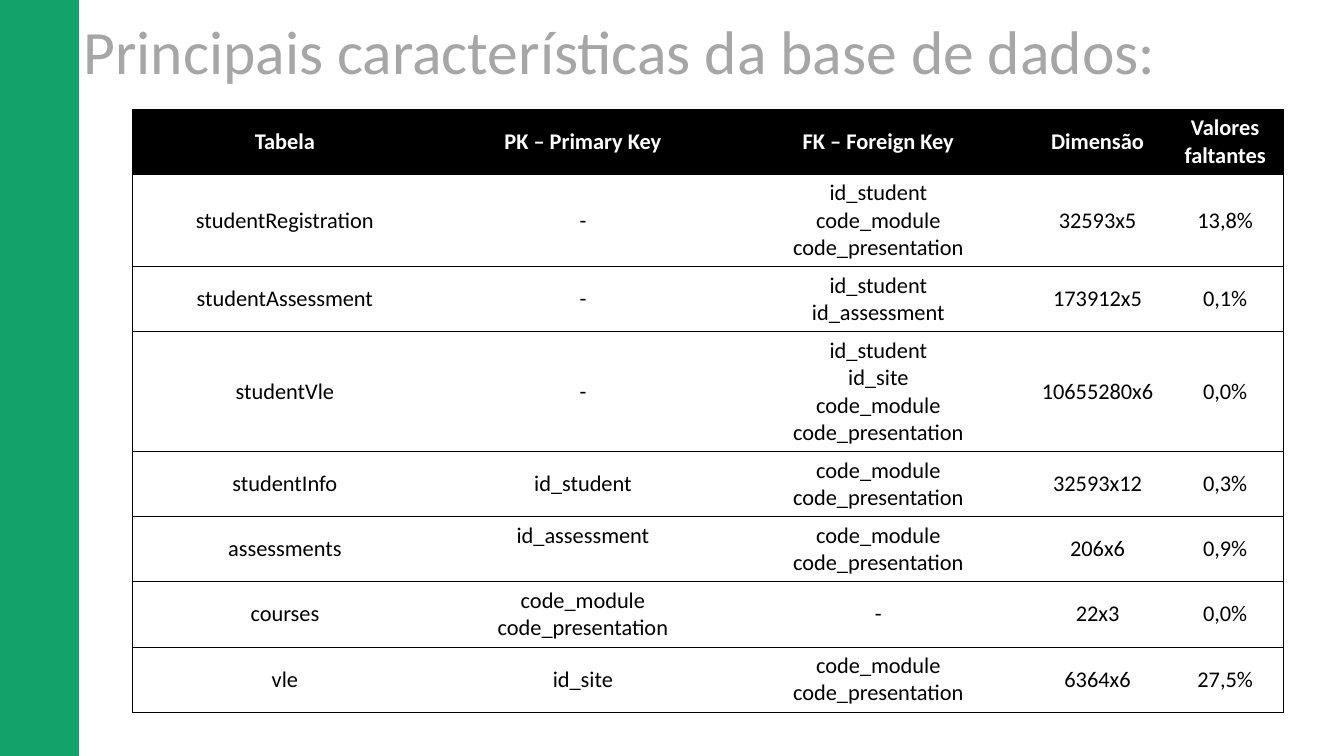
import pptx
import pptx.util
import pptx.dml.color
import pptx.enum.shapes
import pptx.enum.text
import pptx.oxml
import pptx.oxml.ns

Cm, Pt = pptx.util.Cm, pptx.util.Pt
MIDDLE = pptx.enum.text.MSO_ANCHOR.MIDDLE
TOP = pptx.enum.text.MSO_ANCHOR.TOP
CENTER = pptx.enum.text.PP_ALIGN.CENTER
LEFT = pptx.enum.text.PP_ALIGN.LEFT


def color(hex_code):
    return pptx.dml.color.RGBColor.from_string(hex_code)


class DatabaseSlide:
    font = "Calibri"
    green, gray, black, white = "11A36A", "A6A6A6", "000000", "FFFFFF"
    border = 0.5

    def __init__(self, deck):
        self.slide = deck.slides.add_slide(deck.slide_layouts[5])

    def add_lines(self, frame, lines, size, hex_code, bold=False, align=CENTER):
        for index, line in enumerate(lines):
            paragraph = frame.paragraphs[0] if index == 0 else frame.add_paragraph()
            paragraph.alignment = align
            run = paragraph.add_run()
            run.text = line
            run.font.name, run.font.size, run.font.bold = self.font, Pt(size), bold
            run.font.color.rgb = color(hex_code)

    def title(self, text, left, top, width, height):
        heading = self.slide.shapes.title
        heading.left, heading.top = Cm(left), Cm(top)
        heading.width, heading.height = Cm(width), Cm(height)
        frame = heading.text_frame
        frame.auto_size = pptx.enum.text.MSO_AUTO_SIZE.NONE
        frame.word_wrap = True
        frame.vertical_anchor = MIDDLE
        self.add_lines(frame, [text], 44, self.gray, align=LEFT)
        frame.paragraphs[0].line_spacing = 0.9

    def bar(self, left, top, width, height):
        band = self.slide.shapes.add_shape(
            pptx.enum.shapes.MSO_SHAPE.RECTANGLE, Cm(left), Cm(top), Cm(width), Cm(height))
        band.shadow.inherit = False
        band.fill.solid()
        band.fill.fore_color.rgb = band.line.color.rgb = color(self.green)
        band.line.width = Pt(1)

    def cell_borders(self, cell, visible):
        """Draw the sides listed in visible and clear the others."""
        properties = cell._tc.get_or_add_tcPr()
        for index, side in enumerate("LRTB"):
            paint = (f'<a:solidFill><a:srgbClr val="{self.black}"/></a:solidFill>'
                     if side in visible else "<a:noFill/>")
            properties.insert(index, pptx.oxml.parse_xml(
                f'<a:ln{side} {pptx.oxml.ns.nsdecls("a")} w="{Pt(self.border)}">'
                f'{paint}</a:ln{side}>'))

    def table(self, rows, left, top, widths, heights):
        grid = self.slide.shapes.add_table(
            len(rows), len(widths), Cm(left), Cm(top),
            Cm(sum(widths)), Cm(sum(heights))).table
        grid.horz_banding = False
        for column, width in zip(grid.columns, widths):
            column.width = Cm(width)
        for r, (values, height) in enumerate(zip(rows, heights)):
            grid.rows[r].height = Cm(height)
            header = r == 0
            for c, value in enumerate(values):
                cell = grid.cell(r, c)
                cell.vertical_anchor = MIDDLE
                cell.fill.solid()
                cell.fill.fore_color.rgb = color(self.black if header else self.white)
                self.add_lines(cell.text_frame, value.split("\n"), 16,
                               self.white if header else self.black, header)
                outer = ("L" if c == 0 else "") + ("R" if c == len(widths) - 1 else "")
                self.cell_borders(cell, "TB" + outer)
        return grid


# Contents of the table
MODULE_KEYS = "code_module\ncode_presentation"
HEADER = ["Tabela", "PK – Primary Key", "FK – Foreign Key", "Dimensão", "Valores faltantes"]
DATASETS = [
    ["studentRegistration", "-", "id_student\n" + MODULE_KEYS, "32593x5", "13,8%"],
    ["studentAssessment", "-", "id_student\nid_assessment", "173912x5", "0,1%"],
    ["studentVle", "-", "id_student\nid_site\n" + MODULE_KEYS, "10655280x6", "0,0%"],
    ["studentInfo", "id_student", MODULE_KEYS, "32593x12", "0,3%"],
    ["assessments", "id_assessment", MODULE_KEYS, "206x6", "0,9%"],
    ["courses", MODULE_KEYS, "-", "22x3", "0,0%"],
    ["vle", "id_site", MODULE_KEYS, "6364x6", "27,5%"],
]
COLUMN_WIDTHS = [7.7, 7.32, 7.57, 3.48, 2.95]

# Row height follows the tallest cell; the header wraps to two lines
line_counts = [2] + [max(value.count("\n") + 1 for value in row) for row in DATASETS]
row_heights = [0.26 + 0.69 * count for count in line_counts]

deck = pptx.Presentation()
deck.slide_width, deck.slide_height = Cm(33.87), Cm(19.05)
page = DatabaseSlide(deck)

# Title and side bar
page.title("Principais características da base de dados:", 1.85, 0.38, 29.21, 2.01)
page.bar(0, 0, 1.98, 19.05)

# Table, with the assessments key resting at the top of its cell
features = page.table([HEADER] + DATASETS, 3.33, 2.75, COLUMN_WIDTHS, row_heights)
features.cell(5, 1).vertical_anchor = TOP

deck.save("out.pptx")
